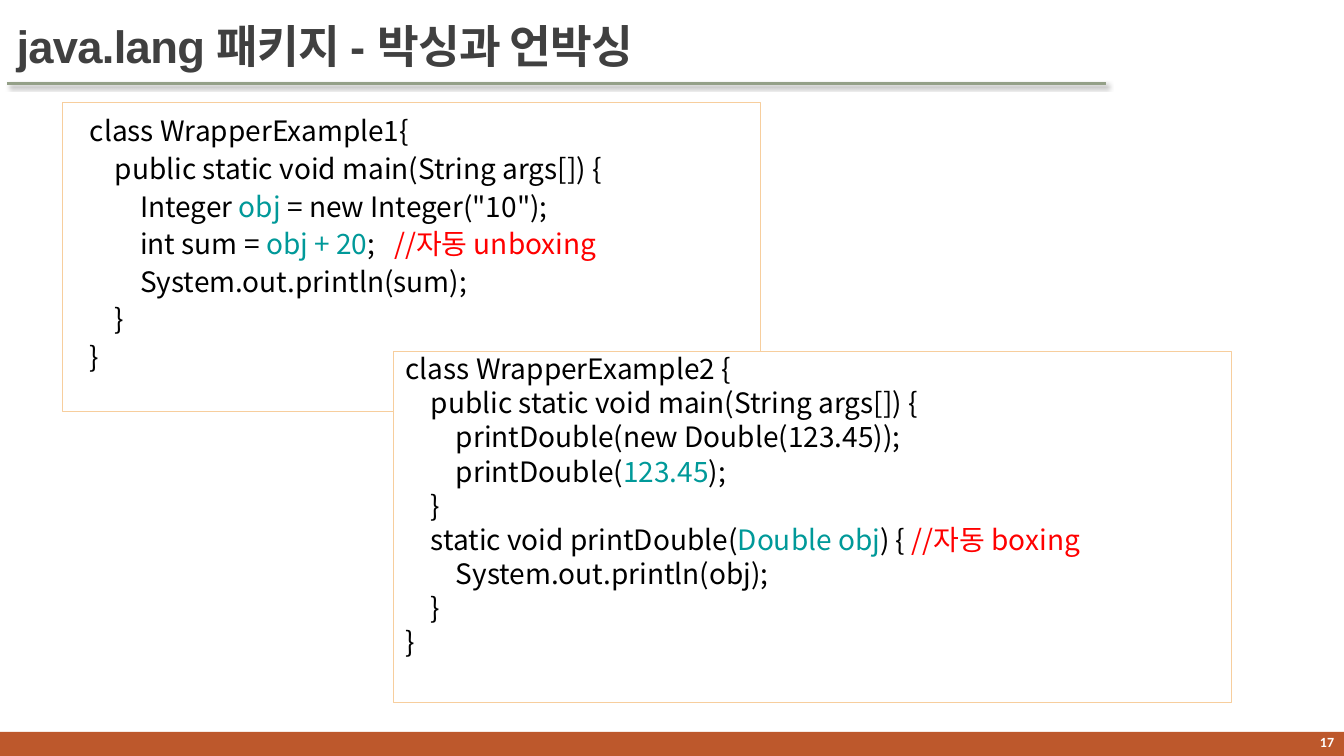
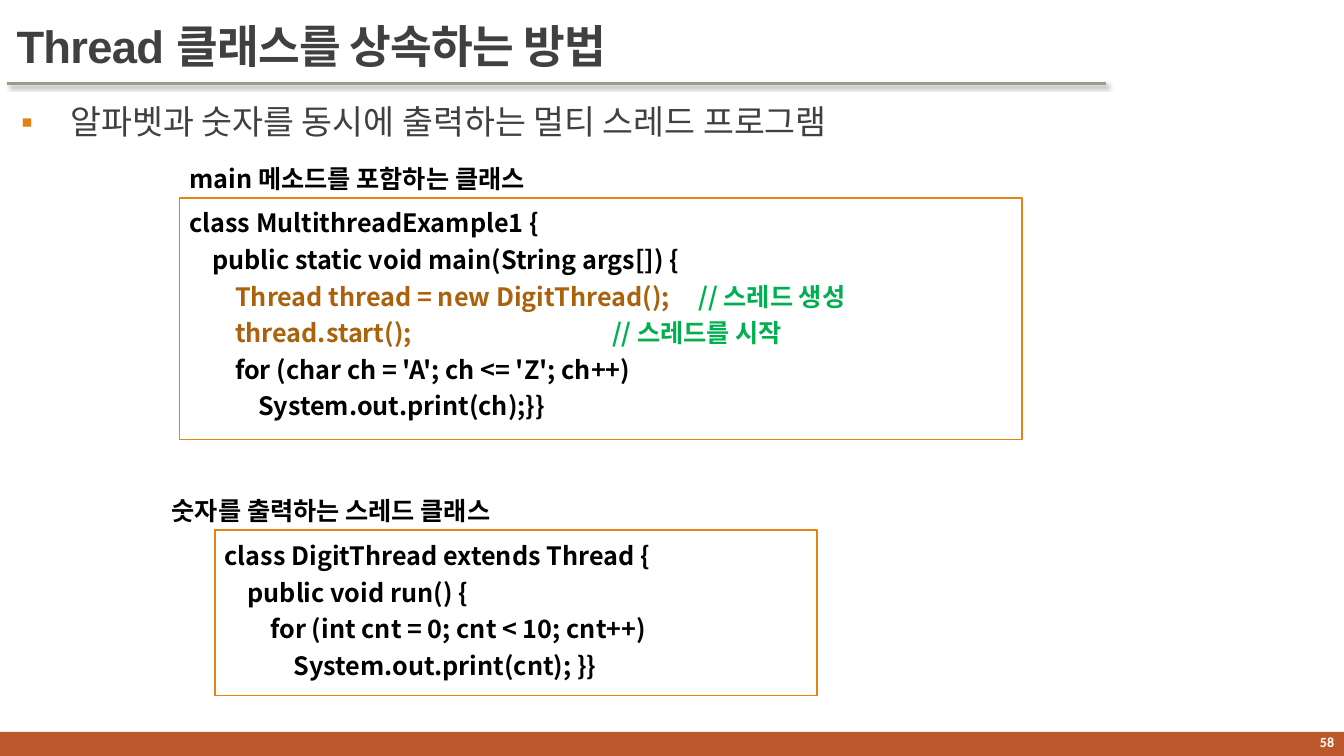
from lxml import etree
from pptx import Presentation
from pptx.dml.color import RGBColor
from pptx.enum import shapes, text
from pptx.oxml import ns
from pptx.util import Pt

BLACK = RGBColor(0x00, 0x00, 0x00)
WHITE = RGBColor(0xFF, 0xFF, 0xFF)
GRAY = RGBColor(0x40, 0x40, 0x40)
RUST = RGBColor(0xBD, 0x58, 0x2C)
SAGE = RGBColor(0x94, 0xA0, 0x88)
PEACH = RGBColor(0xF7, 0xCE, 0x9D)
ORANGE = RGBColor(0xE4, 0x83, 0x12)
BROWN = RGBColor(0xAB, 0x62, 0x0D)
TEAL = RGBColor(0x00, 0x99, 0x99)
RED = RGBColor(0xFF, 0x00, 0x00)
GREEN = RGBColor(0x00, 0xB0, 0x50)

CJK = "Noto Sans CJK KR"
WIDTH, HEIGHT = 960, 540

TITLE = dict(name="Arial", size=Pt(32.4), bold=True)
NUMBER = dict(name="Calibri", size=Pt(10), bold=True)
BULLET = dict(name=CJK, size=Pt(24), bold=False)
PLAIN = dict(name=CJK, size=Pt(20), bold=False)
STRONG = dict(name=CJK, size=Pt(18), bold=True)

BOXING = dict(font=PLAIN, border=PEACH, border_width=0.75, space=10)
THREAD = dict(font=STRONG, border=ORANGE, border_width=1.25, space=4.5)

UNBOXING_CODE = [
    "class WrapperExample1{",
    "    public static void main(String args[]) {",
    ["        Integer ", ("obj", TEAL), ' = new Integer("10");'],
    ["        int sum = ", ("obj + 20", TEAL), ";   ", ("//자동 unboxing", RED)],
    "        System.out.println(sum);",
    "    }",
    "}",
]
BOXING_CODE = [
    "class WrapperExample2 {",
    "    public static void main(String args[]) {",
    "        printDouble(new Double(123.45));",
    ["        printDouble(", ("123.45", TEAL), ");"],
    "    }",
    ["    static void printDouble(", ("Double obj", TEAL), ") { ",
     ("//자동 boxing", RED)],
    "        System.out.println(obj);",
    "    }",
    "}",
]
MAIN_CODE = [
    "class MultithreadExample1 {",
    "    public static void main(String args[]) {",
    ["        ", ("Thread thread = new DigitThread();     ", BROWN),
     ("// 스레드 생성", GREEN)],
    [("        thread.start();                                   ", BROWN),
     ("// 스레드를 시작", GREEN)],
    "        for (char ch = 'A'; ch <= 'Z'; ch++)",
    "            System.out.print(ch);}}",
]
DIGIT_CODE = [
    "class DigitThread extends Thread {",
    "    public void run() {",
    "        for (int cnt = 0; cnt < 10; cnt++)",
    "            System.out.print(cnt); }}",
]


def sub(parent, tag, **attrs):
    """Append a DrawingML element with the given attributes."""
    return etree.SubElement(parent, ns.qn(tag), {k: str(v) for k, v in attrs.items()})


def points(*values):
    return [Pt(v) for v in values]


def add_run(p, words, font, color):
    r = p.add_run()
    r.text = words
    for key, value in font.items():
        setattr(r.font, key, value)
    r.font.color.rgb = color
    sub(r.font._element, "a:ea", typeface=CJK)
    return r


def set_frame(tf, insets=(7.2, 3.6, 7.2, 3.6), anchor=text.MSO_ANCHOR.TOP):
    tf.word_wrap = True
    tf.auto_size = text.MSO_AUTO_SIZE.NONE
    tf.vertical_anchor = anchor
    for side, inset in zip(("left", "top", "right", "bottom"), insets):
        setattr(tf, "margin_" + side, Pt(inset))


def add_label(s, box, words, font, color=BLACK, align=text.PP_ALIGN.LEFT, **frame):
    tf = s.shapes.add_textbox(*points(*box)).text_frame
    set_frame(tf, **frame)
    p = tf.paragraphs[0]
    p.alignment = align
    add_run(p, words, font, color)
    return p


def add_bullet(s, words):
    p = add_label(s, (15.1, 72, 918.7, 440), words, BULLET, GRAY,
                  insets=(0, 3.6, 0, 3.6))
    p.line_spacing = 0.9
    ppr = p._p.get_or_add_pPr()
    ppr.set("marL", str(Pt(35.3)))
    ppr.set("indent", str(-Pt(35.3)))
    sub(sub(ppr, "a:buClr"), "a:srgbClr", val=ORANGE)
    sub(ppr, "a:buFont", typeface="Arial")
    sub(ppr, "a:buChar", char="▪")


def add_code(s, box, lines, insets, font, border, border_width, space, spacing=1.0):
    """Draw a bordered listing; a line is a string or a list of coloured parts."""
    sp = s.shapes.add_shape(shapes.MSO_SHAPE.RECTANGLE, *points(*box))
    sp.shadow.inherit = False
    sp.fill.solid()
    sp.fill.fore_color.rgb = WHITE
    sp.line.color.rgb = border
    sp.line.width = Pt(border_width)
    tf = sp.text_frame
    set_frame(tf, insets)
    for i, line in enumerate(lines):
        p = tf.add_paragraph() if i else tf.paragraphs[0]
        p.alignment = text.PP_ALIGN.LEFT
        p.line_spacing = spacing
        p.space_before = Pt(space if i else 0)
        for part in [line] if isinstance(line, str) else line:
            words, color = (part, BLACK) if isinstance(part, str) else part
            add_run(p, words, font, color)


def add_master_art(prs, s):
    """Draw the footer band and title rule, then move them to the master."""
    band = s.shapes.add_shape(shapes.MSO_SHAPE.RECTANGLE,
                              *points(0, 522.7, WIDTH, 17.3))
    band.shadow.inherit = False
    band.fill.solid()
    band.fill.fore_color.rgb = RUST
    band.line.fill.background()

    rule = s.shapes.add_connector(shapes.MSO_CONNECTOR.STRAIGHT,
                                  *points(5, 59.8, 789.8, 59.8))
    rule.line.color.rgb = SAGE
    rule.line.width = Pt(2)
    effects = sub(rule.element.spPr, "a:effectLst")
    shadow = sub(effects, "a:outerShdw", blurRad=Pt(3), dist=Pt(2),
                 dir=45 * 60000, algn="tl", rotWithShape=0)
    sub(sub(shadow, "a:srgbClr", val=BLACK), "a:alpha", val=60000)

    for art in (band, rule):
        prs.slide_master.shapes.element.append(art.element)


def add_slide(prs, number, *title):
    """Add a numbered slide; title parts are (words, font name) pairs."""
    s = prs.slides.add_slide(prs.slide_layouts[5])
    sp = s.shapes.title
    sp.left, sp.top, sp.width, sp.height = points(4.6, 8.6, 792, 48.2)
    set_frame(sp.text_frame, anchor=text.MSO_ANCHOR.MIDDLE)
    p = sp.text_frame.paragraphs[0]
    p.alignment = text.PP_ALIGN.LEFT
    for words, name in title:
        r = add_run(p, words, {**TITLE, "name": name}, GRAY)
        r.font._element.set("spc", "-50")
    add_label(s, (856.8, 520.6, 103.2, 19.4), str(number), NUMBER, WHITE,
              text.PP_ALIGN.RIGHT, anchor=text.MSO_ANCHOR.MIDDLE)
    return s


def main():
    prs = Presentation()
    prs.slide_width, prs.slide_height = points(WIDTH, HEIGHT)

    s = add_slide(prs, 17, ("java.lang 패키지 - ", "Arial"),
                  ("박싱과 언박싱", "Calibri"))
    add_master_art(prs, s)
    add_code(s, (44.6, 73.6, 499, 220.3), UNBOXING_CODE,
             (19.6, 14.4, 14.4, 14.4), spacing=0.7, **BOXING)
    add_code(s, (281.2, 251, 598.4, 250.6), BOXING_CODE,
             (8.6, 8.6, 14.4, 14.4), spacing=0.6, **BOXING)

    s = add_slide(prs, 58, ("Thread 클래스를 상속하는 방법", "Arial"))
    add_bullet(s, "알파벳과 숫자를 동시에 출력하는 멀티 스레드 프로그램")
    insets = (7.2,) * 4
    add_code(s, (128.2, 141.2, 602, 172.8), MAIN_CODE, insets, **THREAD)
    add_label(s, (128.2, 113, 280, 29), "main 메소드를 포함하는 클래스", STRONG)
    add_label(s, (115.6, 350.6, 270, 29), "숫자를 출력하는 스레드 클래스", STRONG)
    add_code(s, (153.4, 378.8, 430.4, 118), DIGIT_CODE, insets, **THREAD)

    prs.save("out.pptx")


if __name__ == "__main__":
    main()
